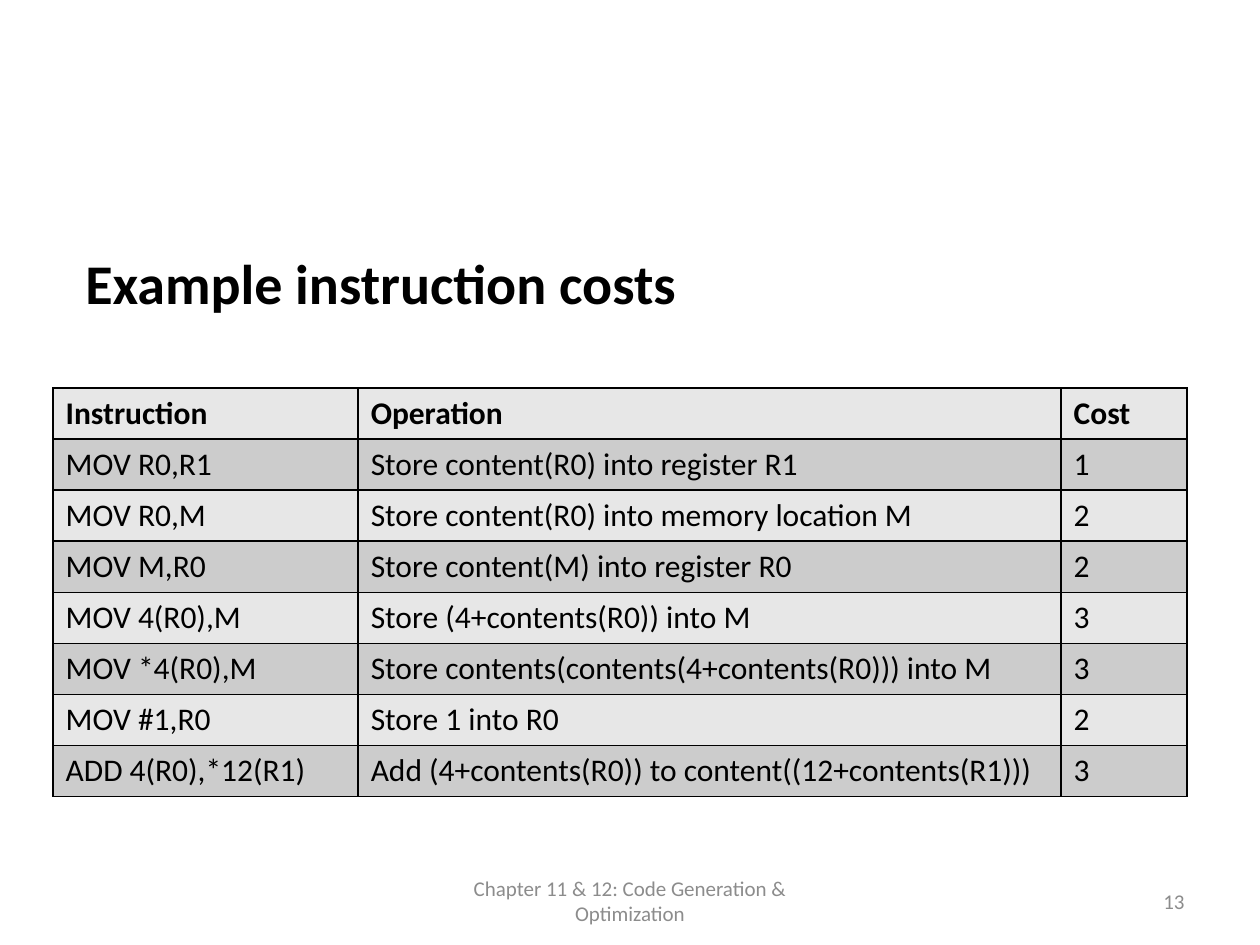
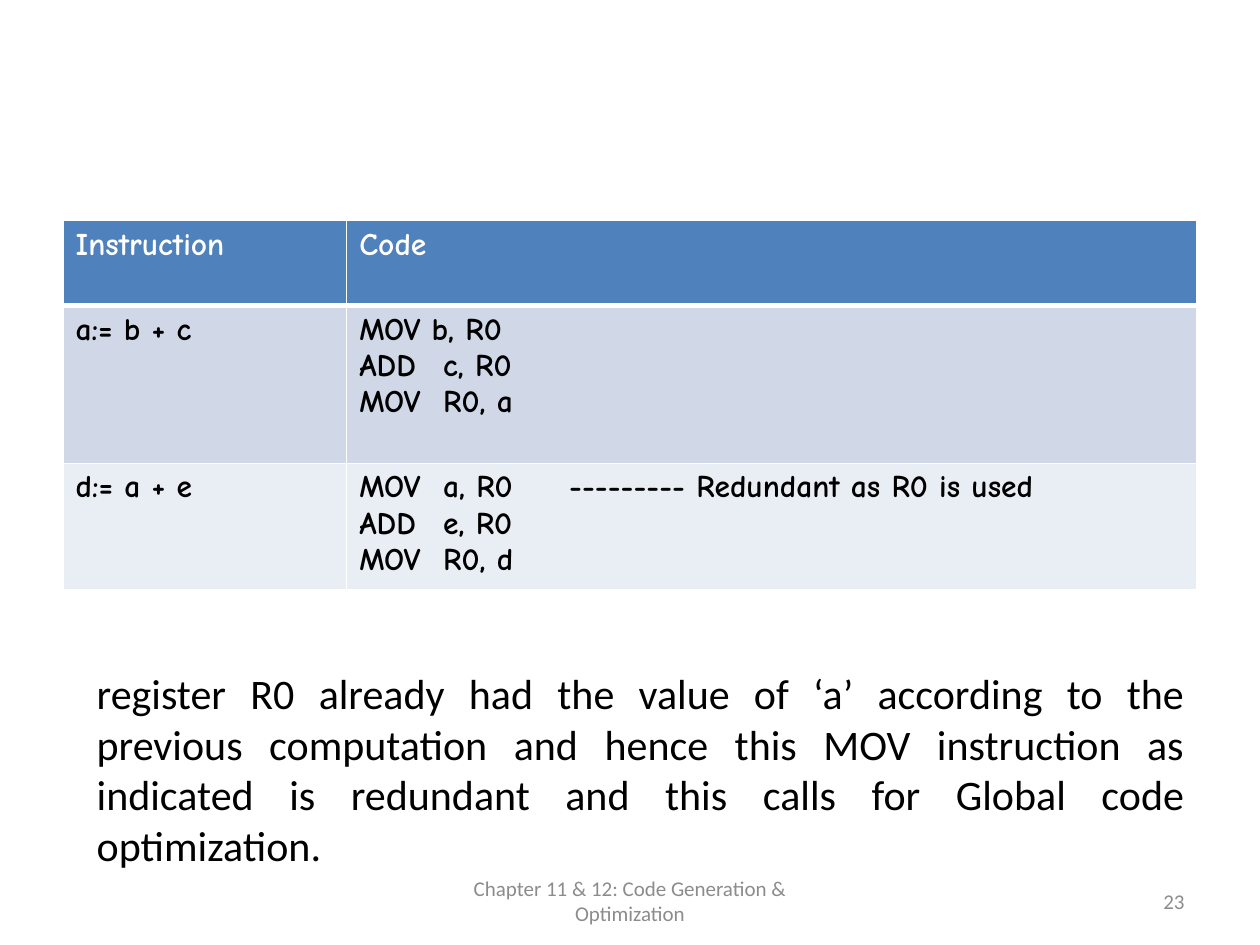
from lxml import etree
from pptx import Presentation
from pptx.dml.color import RGBColor
from pptx.enum.text import MSO_ANCHOR as Anchor, PP_ALIGN as Align
from pptx.oxml.ns import qn
from pptx.util import Cm, Pt

COLORS = {
    "ink": "000000",
    "paper": "FFFFFF",
    "footer": "8C8C8C",
    "light gray": "E7E7E7",
    "dark gray": "CCCCCC",
    "header blue": "4F81BD",
    "band blue": "D0D8E8",
    "pale blue": "E9EDF4",
}
BODY_FONT, CODE_FONT = "Calibri", "Comic Neue"
FOOTER = "Chapter 11 & 12: Code Generation & Optimization"
FOOTER_TOP, FOOTER_HEIGHT = 17.65, 1.02

COSTS = [
    ("Instruction", "Operation", "Cost"),
    ("MOV R0,R1", "Store content(R0) into register R1", "1"),
    ("MOV R0,M", "Store content(R0) into memory location M", "2"),
    ("MOV M,R0", "Store content(M) into register R0", "2"),
    ("MOV 4(R0),M", "Store (4+contents(R0)) into M", "3"),
    ("MOV *4(R0),M", "Store contents(contents(4+contents(R0))) into M", "3"),
    ("MOV #1,R0", "Store 1 into R0", "2"),
    ("ADD 4(R0),*12(R1)", "Add (4+contents(R0)) to content((12+contents(R1)))", "3"),
]
CODE = [
    ("Instruction", "Code"),
    ("a:= b + c", "MOV b, R0\nADD\tc, R0\nMOV\tR0, a"),
    ("d:= a + e",
     "MOV\ta, R0\t--------- Redundant as R0 is used\nADD\te, R0\nMOV\tR0, d"),
]
CODE_TABS = (1.69, 4.23)  # operands, remark
REMARK = ("register R0 already had the value of ‘a’ according to the previous "
          "computation and hence this MOV instruction as indicated is redundant "
          "and this calls for Global code optimization.")


def rgb(name):
    return RGBColor.from_string(COLORS[name])


def style_text(frame, size, color="ink", font=BODY_FONT, bold=False, align=Align.LEFT):
    for para in frame.paragraphs:
        para.alignment = align
        for span in para.runs:
            span.font.size = Pt(size)
            span.font.name = font
            span.font.bold = bold
            span.font.color.rgb = rgb(color)


def add_text(page, text, left, top, width, height, size,
             anchor=Anchor.TOP, wrap=True, **style):
    box = page.shapes.add_textbox(Cm(left), Cm(top), Cm(width), Cm(height))
    frame = box.text_frame
    frame.word_wrap = wrap
    frame.vertical_anchor = anchor
    frame.text = text
    style_text(frame, size, **style)


def add_footer(page, number):
    for text, left, width, align in ((FOOTER, 8.68, 8.04, Align.CENTER),
                                     (str(number), 18.2, 5.93, Align.RIGHT)):
        add_text(page, text, left, FOOTER_TOP, width, FOOTER_HEIGHT, 12,
                 anchor=Anchor.MIDDLE, color="footer", align=align)


def set_borders(cell, color, bottom=1):
    properties = cell._tc.get_or_add_tcPr()
    for side, points in (("L", 1), ("R", 1), ("T", 1), ("B", bottom)):
        line = etree.SubElement(properties, qn(f"a:ln{side}"), w=str(Pt(points)))
        fill = etree.SubElement(line, qn("a:solidFill"))
        etree.SubElement(fill, qn("a:srgbClr"), val=COLORS[color])


def set_tabs(para, positions):
    tabs = etree.SubElement(para._p.get_or_add_pPr(), qn("a:tabLst"))
    for position in positions:
        etree.SubElement(tabs, qn("a:tab"), pos=str(Cm(position)), algn="l")


def add_grid(page, rows, left, top, widths, heights, header_fill, bands, border,
             header_color="ink", header_rule=1, font=BODY_FONT, bold=False, tabs=()):
    """Table with a bold header row and alternating body fills."""
    table = page.shapes.add_table(len(rows), len(widths), Cm(left), Cm(top),
                                  Cm(sum(widths)), Cm(sum(heights))).table
    for column, width in zip(table.columns, widths):
        column.width = Cm(width)
    for index, (row, height, texts) in enumerate(zip(table.rows, heights, rows)):
        row.height = Cm(height)
        header = index == 0
        fill = header_fill if header else bands[(index - 1) % len(bands)]
        for cell, text in zip(row.cells, texts):
            set_borders(cell, border, header_rule if header else 1)
            cell.fill.solid()
            cell.fill.fore_color.rgb = rgb(fill)
            cell.text_frame.text = text
            style_text(cell.text_frame, 18, header_color if header else "ink",
                       font, header or bold)
            for para in cell.text_frame.paragraphs:
                if "\t" in para.text:
                    set_tabs(para, tabs)


def add_page(deck, number):
    page = deck.slides.add_slide(deck.slide_layouts[6])
    page.background.fill.solid()
    page.background.fill.fore_color.rgb = rgb("paper")
    add_footer(page, number)
    return page


def main():
    deck = Presentation()
    deck.slide_width, deck.slide_height = Cm(25.4), Cm(19.05)

    # Instruction costs
    page = add_page(deck, 13)
    add_text(page, "Example instruction costs", 1.47, 4.88, 12.55, 1.63, 32,
             wrap=False, bold=True)
    add_grid(page, COSTS, 1.07, 7.82, (6.15, 14.17, 2.54), [1.03] * len(COSTS),
             "light gray", ("dark gray", "light gray"), "ink")

    # Redundant move
    page = add_page(deck, 23)
    add_grid(page, CODE, 1.27, 4.45, (5.72, 17.14), (1.71, 3.18, 2.45),
             "header blue", ("band blue", "pale blue"), "paper",
             header_color="paper", header_rule=3, font=CODE_FONT, bold=True,
             tabs=CODE_TABS)
    add_text(page, REMARK, 1.7, 13.34, 22.43, 4.37, 24, align=Align.JUSTIFY)

    deck.save("out.pptx")


if __name__ == "__main__":
    main()
